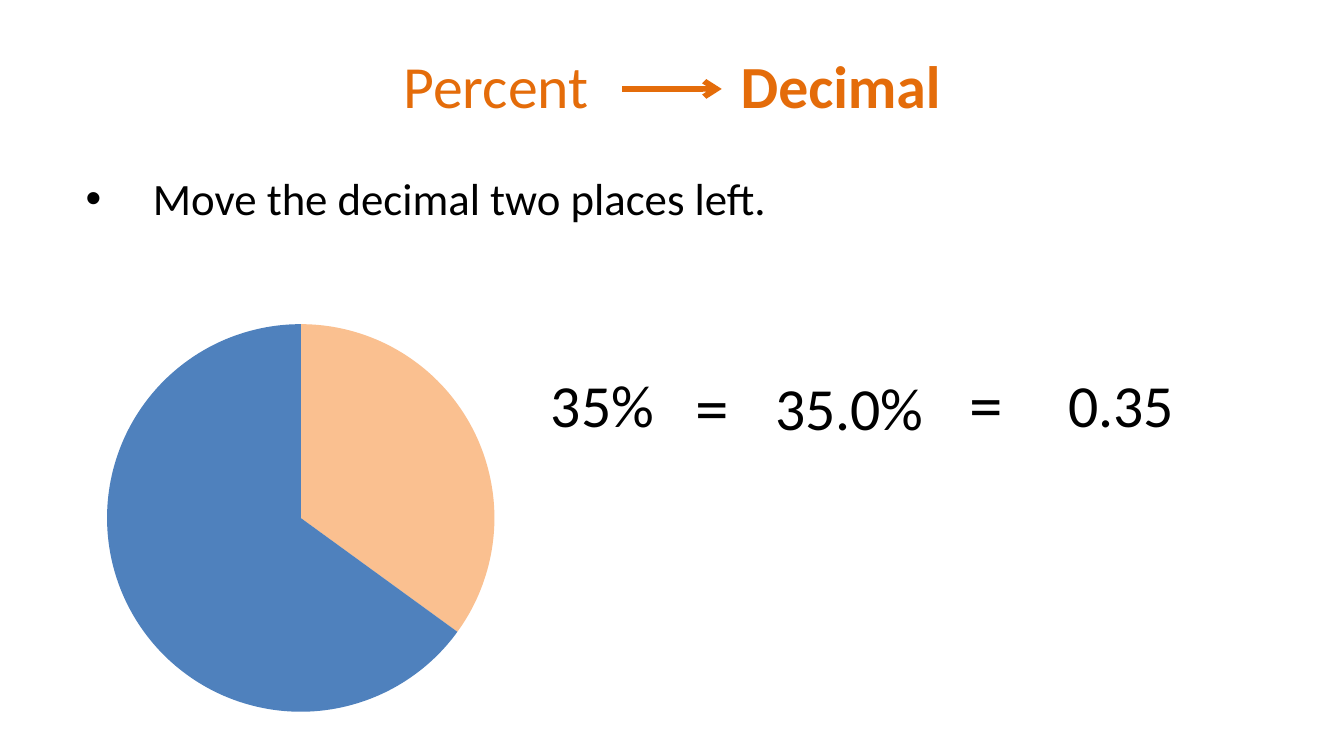
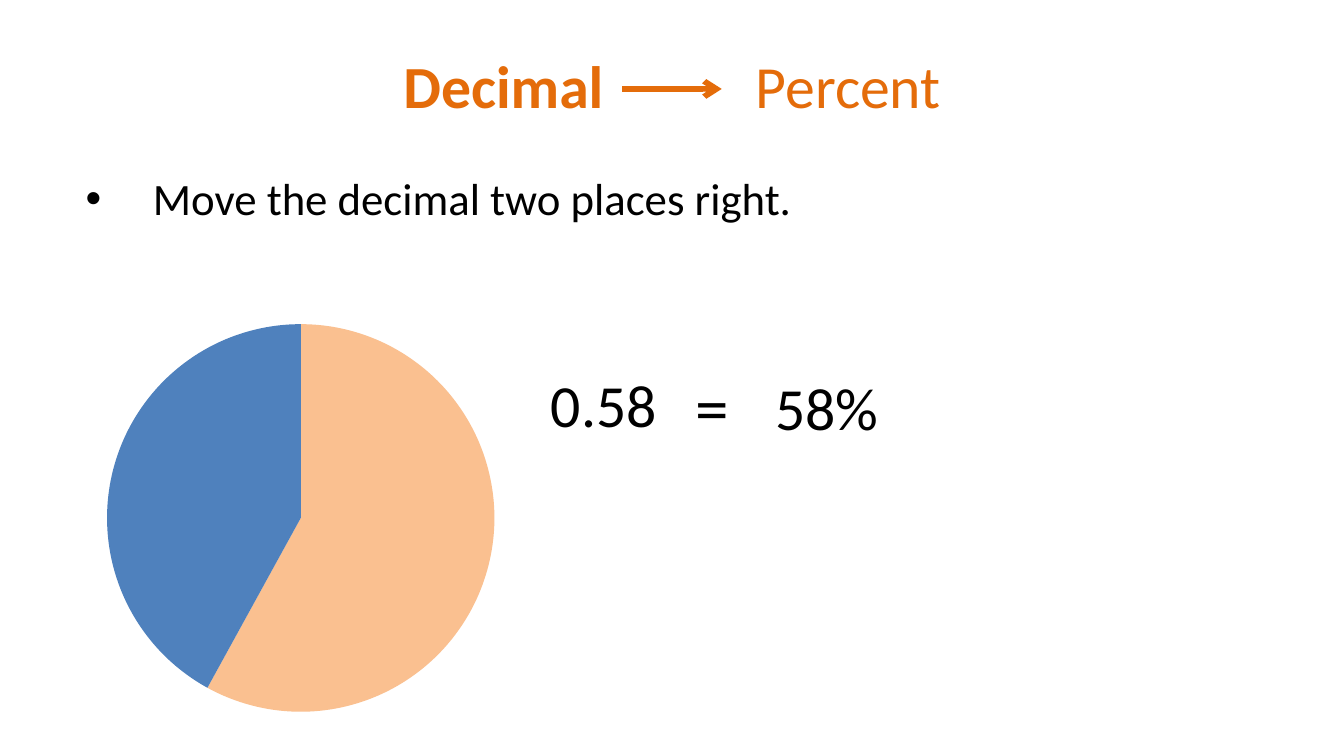
from lxml.etree import SubElement
from pptx import Presentation
from pptx.chart.data import CategoryChartData
from pptx.dml.color import RGBColor
from pptx.enum.chart import XL_CHART_TYPE
from pptx.enum.shapes import MSO_CONNECTOR
from pptx.enum.text import MSO_ANCHOR, MSO_AUTO_SIZE, PP_ALIGN
from pptx.oxml import parse_xml
from pptx.oxml.ns import nsdecls, qn
from pptx.util import Cm, Pt

COLOURS = {
    "accent": "E46C0A",
    "text": "000000",
    "share": "FAC090",
    "rest": "4F81BD",
}
FONT = "Calibri"
PIE_LAYOUT = {"x": 0.04, "y": 0.09, "w": 0.91, "h": 0.81}


def colour(name):
    return RGBColor.from_string(COLOURS[name])


class Lesson:
    def __init__(self):
        self.deck = Presentation()
        self.deck.slide_width = Cm(25.4)
        self.deck.slide_height = Cm(14.28)
        self.page = None

    def start_page(self):
        self.page = self.deck.slides.add_slide(self.deck.slide_layouts[5])

    def add_span(self, para, text, size, shade="text", bold=False):
        span = para.add_run()
        span.text = text
        span.font.name = FONT
        span.font.size = Pt(size)
        span.font.bold = bold
        span.font.color.rgb = colour(shade)

    def title(self, source, target):
        box = self.page.shapes.title
        box.left, box.top, box.width, box.height = Cm(7.37), Cm(0.79), Cm(10.77), Cm(1.62)
        frame = box.text_frame
        frame.word_wrap = True
        frame.auto_size = MSO_AUTO_SIZE.NONE
        frame.vertical_anchor = MSO_ANCHOR.MIDDLE
        para = frame.paragraphs[0]
        para.alignment = PP_ALIGN.LEFT
        stops = SubElement(para._p.get_or_add_pPr(), qn("a:tabLst"))
        SubElement(stops, qn("a:tab"), pos=str(Cm(10.16)), algn="r")
        for lead, word in (("", source), ("\t", target)):
            self.add_span(para, lead + word, 32, "accent", word == "Decimal")

    def arrow(self):
        line = self.page.shapes.add_connector(
            MSO_CONNECTOR.STRAIGHT, Cm(11.76), Cm(1.68), Cm(13.64), Cm(1.68))
        line.line.color.rgb = colour("accent")
        line.line.width = Pt(3)
        properties = line.element.spPr
        SubElement(properties.find(qn("a:ln")), qn("a:tailEnd"), type="arrow")
        SubElement(properties, qn("a:effectLst"))

    def text(self, words, left, top, width, height, size, align=PP_ALIGN.LEFT):
        box = self.page.shapes.add_textbox(Cm(left), Cm(top), Cm(width), Cm(height))
        box.text_frame.word_wrap = False
        para = box.text_frame.paragraphs[0]
        para.alignment = align
        self.add_span(para, words, size)
        return para

    def rule(self, words, width):
        para = self.text(words, 1.37, 3.1, width, 1.27, 24)
        properties = para._p.get_or_add_pPr()
        properties.set("marL", str(Cm(1.27)))
        properties.set("indent", str(Cm(-1.27)))
        SubElement(properties, qn("a:buFont"), typeface="Arial")
        SubElement(properties, qn("a:buChar"), char="•")

    def pie(self, percent):
        data = CategoryChartData()
        data.categories = ["1", "2"]
        data.add_series("Series 1", (percent, 100 - percent))
        chart = self.page.shapes.add_chart(
            XL_CHART_TYPE.PIE, Cm(1.7), Cm(5.31), Cm(8.05), Cm(9.04), data).chart
        chart.has_title = False
        chart.has_legend = False
        chart.font.name = FONT
        chart.font.size = Pt(18)
        chart.font.color.rgb = colour("text")
        plot = chart.plots[0]
        plot.vary_by_categories = True
        for index, shade in enumerate(("share", "rest")):
            fill = plot.series[0].points[index].format.fill
            fill.solid()
            fill.fore_color.rgb = colour(shade)
        area = chart._chartSpace.chart.plotArea
        for old in area.findall(qn("c:layout")):
            area.remove(old)
        layout = parse_xml(f"<c:layout {nsdecls('c')}><c:manualLayout/></c:layout>")
        manual = layout[0]
        SubElement(manual, qn("c:layoutTarget"), val="inner")
        for side in "xy":
            SubElement(manual, qn(f"c:{side}Mode"), val="edge")
        for side, value in PIE_LAYOUT.items():
            SubElement(manual, qn(f"c:{side}"), val=str(value))
        area.insert(0, layout)

    def equation(self, terms):
        places = ((10.16, 6.83), (14.4, 6.88), (19.94, 6.83))
        signs = ((12.9, 6.78), (18.06, 6.71))
        for (words, width), (left, top) in zip(terms, places):
            self.text(words, left, top, width, 1.62, 32)
        for left, top in signs[:len(terms) - 1]:
            self.text("=", left, top, 1.14, 1.8, 36, PP_ALIGN.CENTER)


PAGES = (
    ("Percent", "Decimal", "Move the decimal two places left.", 13.51, 35,
     (("35%", 2.49), ("35.0%", 3.35), ("0.35", 2.54))),
    ("Decimal", "Percent", "Move the decimal two places right.", 13.97, 58,
     (("0.58", 2.54), ("58%", 2.49))),
)

lesson = Lesson()
for source, target, words, width, percent, terms in PAGES:
    lesson.start_page()
    lesson.pie(percent)
    lesson.title(source, target)
    lesson.arrow()
    lesson.rule(words, width)
    lesson.equation(terms)
lesson.deck.save("out.pptx")
